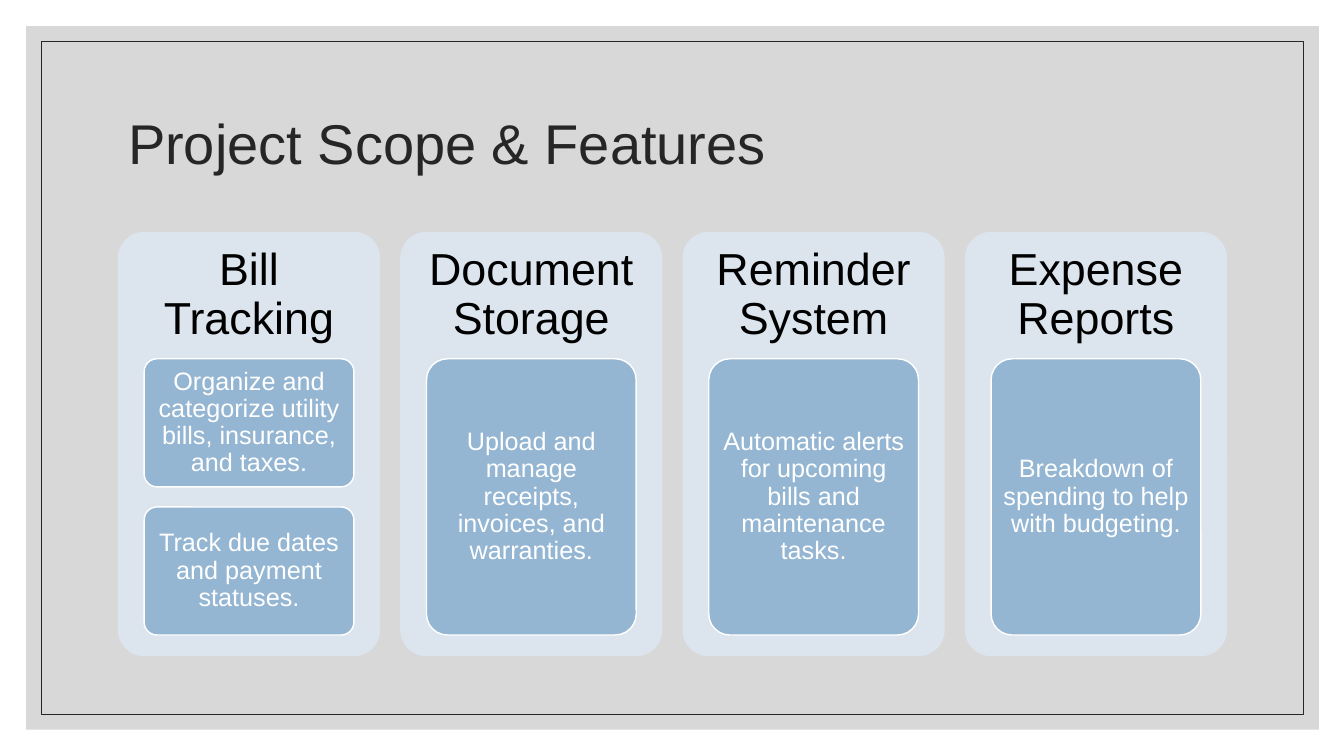
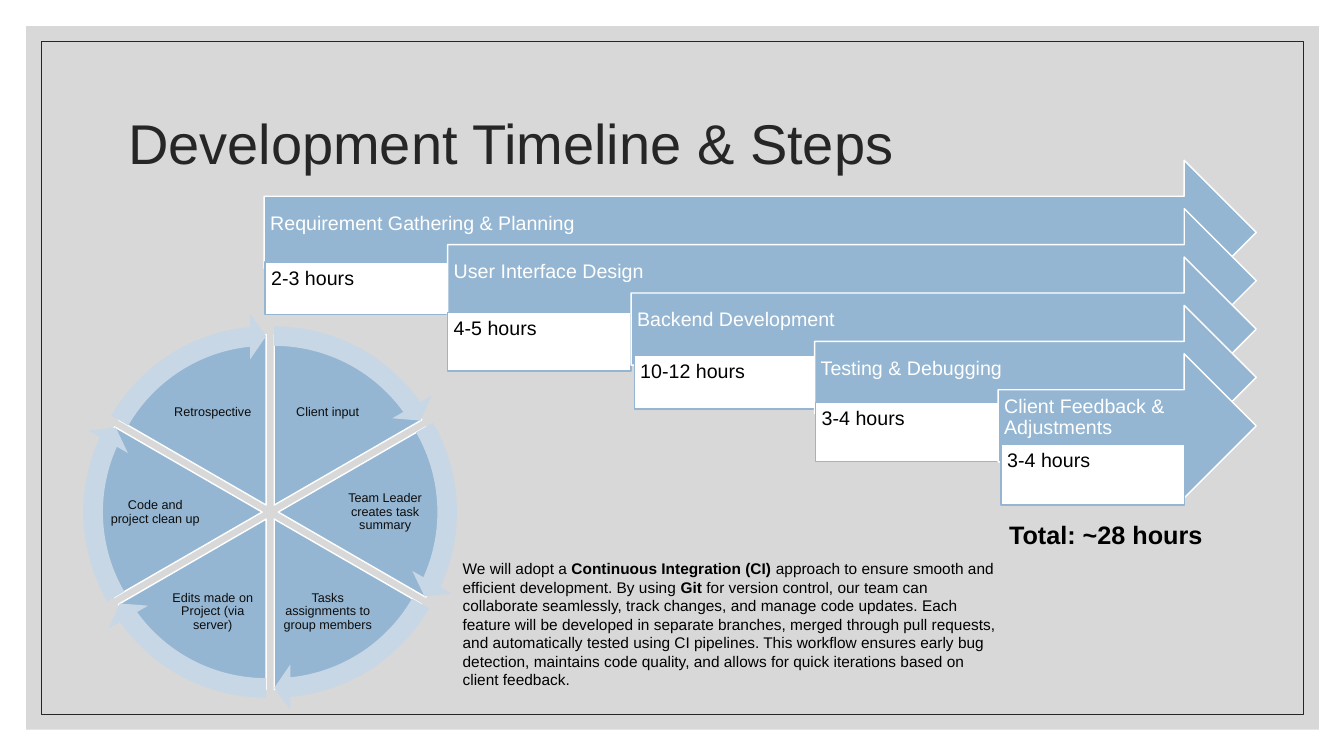
from dataclasses import dataclass
from math import cos, radians, sin

from lxml.etree import SubElement
from pptx import Presentation
from pptx.dml.color import RGBColor
from pptx.enum.shapes import MSO_SHAPE as Shape
from pptx.enum.text import MSO_ANCHOR as Anchor, PP_ALIGN as Align
from pptx.oxml.ns import qn
from pptx.util import Pt

PX = 9144  # 100 px to the inch


@dataclass(frozen=True)
class Theme:
    font: str = "Arial"
    white: str = "FFFFFF"
    black: str = "000000"
    ink: str = "262626"
    label_ink: str = "0D0D0D"
    backdrop: str = "BFBFBF"
    blue: str = "94B6D2"
    panel: str = "DCE5EE"
    ring: str = "C8D7E5"
    title: int = 40
    heading: int = 32
    body: int = 18
    step: int = 14
    note: int = 11
    label: int = 9


theme = Theme()


def draw(page, kind, left, top, width, height, fill=None, line=None, weight=1, adjust=()):
    """Add a preset shape, or a text box when kind is None."""
    area = [round(n * PX) for n in (left, top, width, height)]
    if kind is None:
        return page.shapes.add_textbox(*area)
    shape = page.shapes.add_shape(kind, *area)
    shape.shadow.inherit = False
    for i, value in enumerate(adjust):
        shape.adjustments[i] = value
    if fill:
        shape.fill.solid()
        shape.fill.fore_color.rgb = RGBColor.from_string(fill)
    else:
        shape.fill.background()
    if line:
        shape.line.color.rgb = RGBColor.from_string(line)
        shape.line.width = Pt(weight)
    else:
        shape.line.fill.background()
    return shape


def write(box, text, size, color=theme.black, align=Align.LEFT, anchor=Anchor.TOP,
          insets=(10, 5, 10, 5), spacing=0.9, bold=False):
    """Fill a box with one paragraph; parts between ** are bold."""
    frame = box.text_frame
    frame.word_wrap = True
    frame.vertical_anchor = anchor
    (frame.margin_left, frame.margin_top,
     frame.margin_right, frame.margin_bottom) = [n * PX for n in insets]
    para = frame.paragraphs[0]
    para.alignment = align
    para.line_spacing = spacing
    for i, part in enumerate(text.split("**")):
        span = para.add_run()
        span.text = part
        span.font.name = theme.font
        span.font.size = Pt(size)
        span.font.bold = bold or i % 2 == 1
        span.font.color.rgb = RGBColor.from_string(color)


deck = Presentation()
deck.slide_width, deck.slide_height = 1333 * PX, 750 * PX
layout = deck.slide_layouts[5]

# Pages and titles
pages = []
for title in ("Project Scope & Features", "Development Timeline & Steps"):
    page = deck.slides.add_slide(layout)
    box = page.shapes.title
    box.left, box.top, box.width, box.height = [n * PX for n in (117, 70, 1100, 150)]
    write(box, title, theme.title, theme.ink, anchor=Anchor.MIDDLE)
    pages.append(page)
features, timeline = pages

# Backdrop and border, moved into the layout so both pages share them
backdrop = draw(features, Shape.RECTANGLE, 26, 26, 1282, 698, theme.backdrop)
tint = backdrop.element.spPr.find(qn("a:solidFill"))[0]
SubElement(tint, qn("a:alpha")).set("val", "60000")
border = draw(features, Shape.RECTANGLE, 41, 41, 1252, 668, line=theme.ink, weight=0.5)
for i, shape in enumerate((backdrop, border)):
    shape.element.nvSpPr.cNvPr.set("id", str(101 + i))
    layout.shapes.element.insert(2 + i, shape.element)

# Feature columns
columns = [
    ("Bill Tracking", ["Organize and categorize utility bills, insurance, and taxes.",
                       "Track due dates and payment statuses."]),
    ("Document Storage", ["Upload and manage receipts, invoices, and warranties."]),
    ("Reminder System", ["Automatic alerts for upcoming bills and maintenance tasks."]),
    ("Expense Reports", ["Breakdown of spending to help with budgeting."]),
]
cards_height, card_gap = 274, 20
for i, (heading, cards) in enumerate(columns):
    left = 117 + 280 * i
    draw(features, Shape.ROUNDED_RECTANGLE, left, 230, 260, 421, theme.panel, adjust=[0.1])
    write(draw(features, None, left, 230, 260, 126), heading, theme.heading,
          align=Align.CENTER, anchor=Anchor.MIDDLE, insets=(13, 13, 13, 13))
    height = (cards_height - card_gap * (len(cards) - 1)) / len(cards)
    for row, text in enumerate(cards):
        card = draw(features, Shape.ROUNDED_RECTANGLE, left + 26, 356 + row * (height + card_gap),
                    208, height, theme.blue, theme.white, adjust=[0.1])
        write(card, text, theme.body, theme.white, Align.CENTER, Anchor.MIDDLE, (5, 4, 5, 4))

# Timeline arrows: step, hours, then left, top and height of the hours box
steps = [
    ("Requirement Gathering & Planning", "2-3 hours", 263, 260, 52),
    ("User Interface Design", "4-5 hours", 444, 310, 58),
    ("Backend Development", "10-12 hours", 629, 353, 53),
    ("Testing & Debugging", "3-4 hours", 809, 399, 59),
    ("Client Feedback & Adjustments", "3-4 hours", 993, 441, 60),
]
arrow_tip = 1246
for i, (step, hours, hours_left, hours_top, hours_height) in enumerate(steps):
    left = 262 + 182 * i
    arrow = draw(timeline, Shape.RIGHT_ARROW, left, 159 + 48 * i, arrow_tip - left, 143,
                 theme.blue, theme.white, adjust=[0.5, 0.5])
    write(arrow, step, theme.step, theme.white, anchor=Anchor.MIDDLE, insets=(6, 6, 28, 23))
    hours_box = draw(timeline, Shape.RECTANGLE, hours_left, hours_top, 182, hours_height,
                     theme.white, theme.blue)
    write(hours_box, hours, theme.step, insets=(6, 6, 6, 6))

write(draw(timeline, None, 991, 510, 258, 40), "Total: ~28 hours", theme.body,
      spacing=1.0, bold=True)

# Cycle wheel: six sectors of 60 degrees, clockwise from the top
phases = ["Client input", "Team Leader creates task summary",
          "Tasks assignments to group members", "Edits made on Project (via server)",
          "Code and project clean up", "Retrospective"]
center_x, center_y = 268, 508
sector_size, ring_size, spread, label_radius = 338, 380, 8, 114
label_width, label_height = 92, 68
turn, sweep, head_angle = 216, 36, 3.275  # angles in units of 5/3 degree
rings = []
for i, phase in enumerate(phases):
    middle = radians(60 * i - 60)
    x, y = center_x + spread * cos(middle), center_y + spread * sin(middle)
    start, end = (162 + sweep * i) % turn, (162 + sweep * (i + 1)) % turn
    draw(timeline, Shape.PIE, x - sector_size / 2, y - sector_size / 2, sector_size, sector_size,
         theme.blue, theme.white, adjust=[start, end])
    label = draw(timeline, None, center_x + label_radius * cos(middle) - label_width / 2,
                 center_y + label_radius * sin(middle) - label_height / 2,
                 label_width, label_height)
    write(label, phase, theme.label, theme.label_ink, Align.CENTER, Anchor.MIDDLE, (1, 1, 1, 1))
    rings.append((x, y, start, (end - head_angle) % turn))
for x, y, start, end in rings:
    draw(timeline, Shape.CIRCULAR_ARROW, x - ring_size / 2, y - ring_size / 2, ring_size, ring_size,
         theme.ring, adjust=[0.051, head_angle, end, start, 0.059])

# Working method
write(draw(timeline, None, 449, 550, 551, 140),
      "We will adopt a **Continuous Integration (CI)** approach to ensure smooth and efficient "
      "development. By using **Git** for version control, our team can collaborate seamlessly, "
      "track changes, and manage code updates. Each feature will be developed in separate "
      "branches, merged through pull requests, and automatically tested using CI pipelines. "
      "This workflow ensures early bug detection, maintains code quality, and allows for quick "
      "iterations based on client feedback.", theme.note, spacing=1.0)

deck.save("out.pptx")
